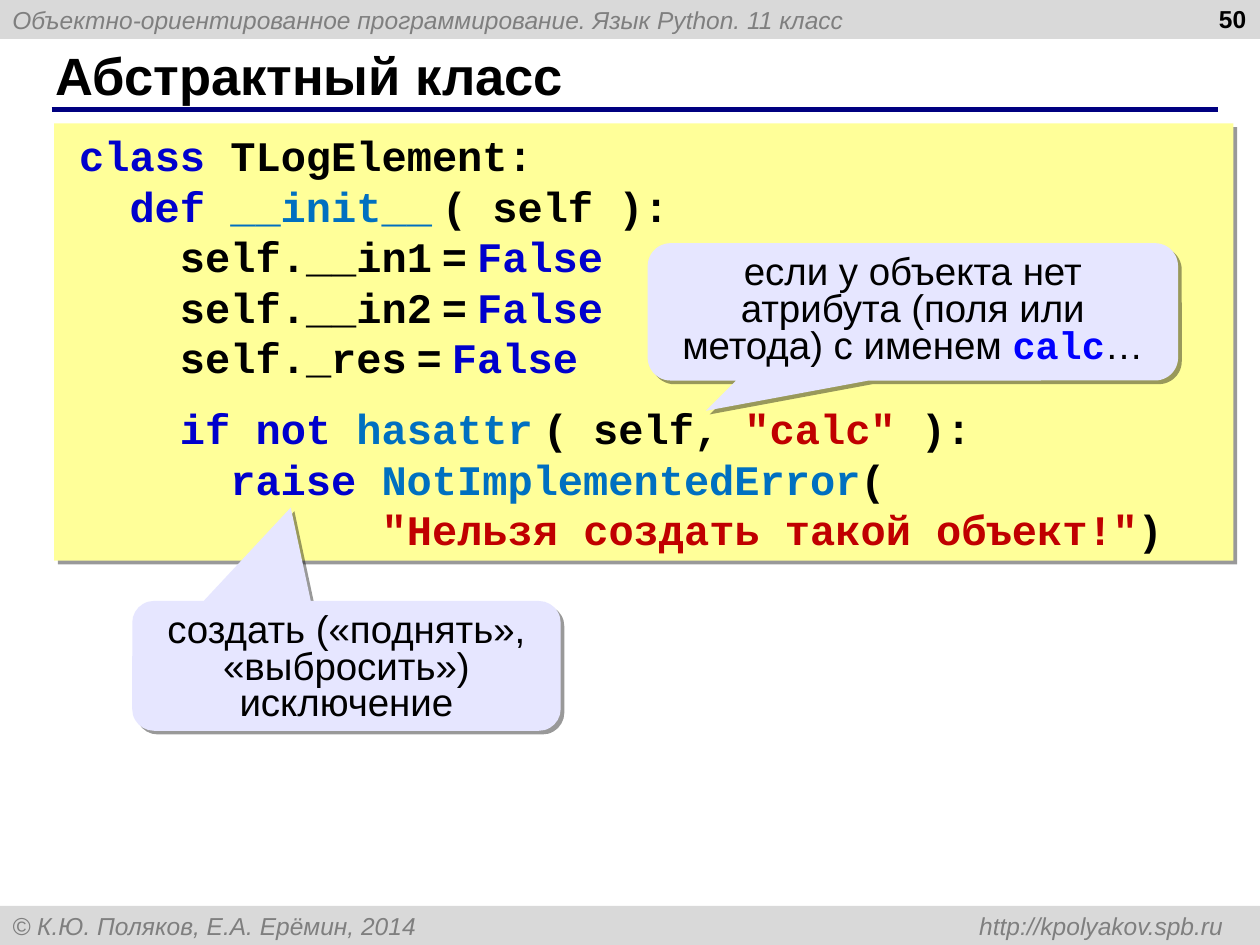
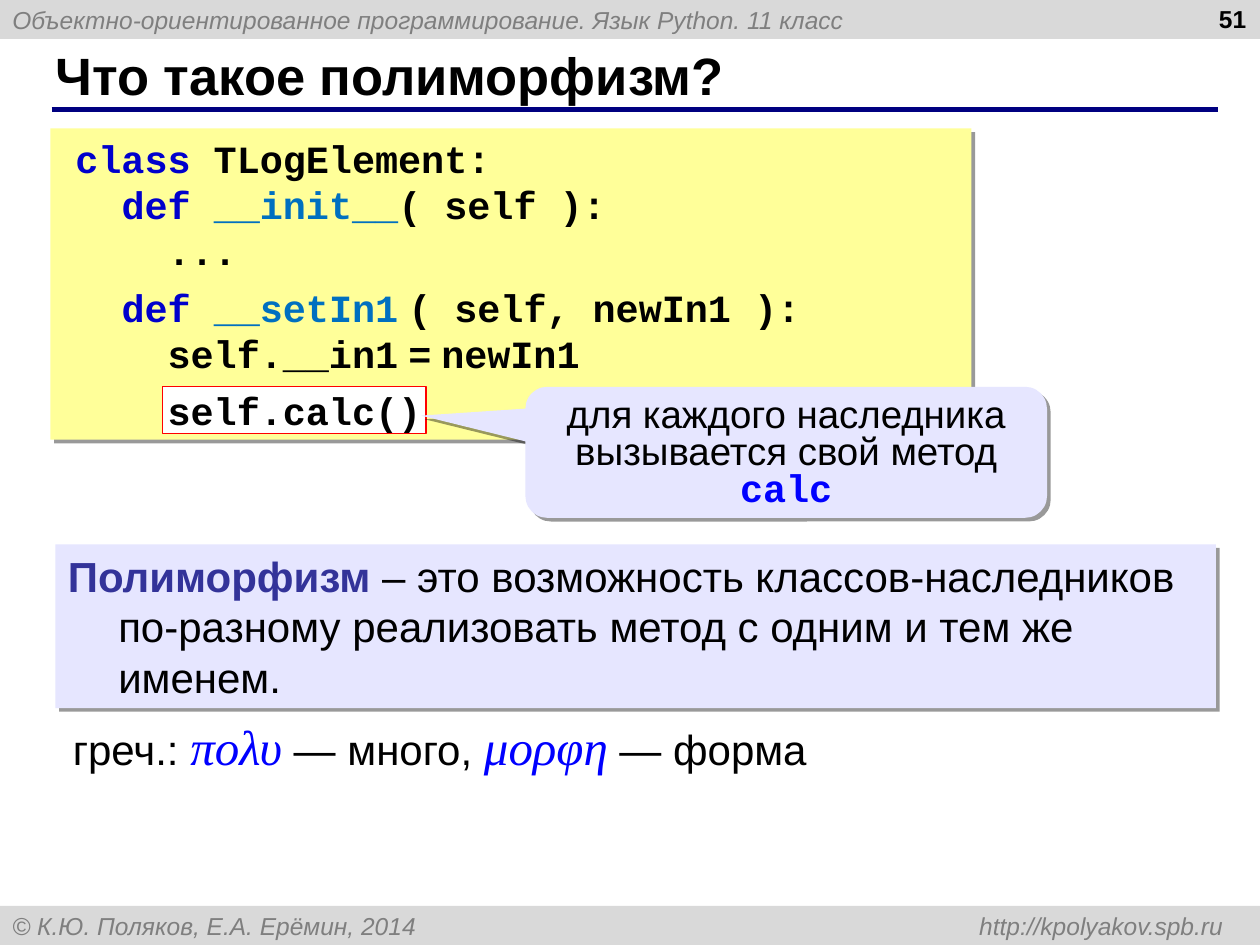
from pptx import Presentation
from pptx.dml import color
from pptx.enum import shapes, text
from pptx.oxml import ns
from pptx.util import Inches, Pt
from lxml import etree

COLS, ROWS = 100, 75
WIDE, HIGH = Inches(10), Inches(7.5)
BAND, NAVY, YELLOW, LILAC = "D9D9D9", "000080", "FFFF99", "E6E6FF"
BLACK, GREY, WHITE, RED = "000000", "7F7F7F", "FFFFFF", "FF0000"
BODY, MONO, SERIF = "Arial", "Courier New", "Times New Roman"
BAND_H = 3.1
INSET = (0.1, 0.05, 0.1, 0.05)

STYLES = {
    "t": dict(name=BODY, color=BLACK),
    "head": dict(name=BODY, color=BLACK, bold=True),
    "note": dict(name=BODY, color=GREY, italic=True),
    "term": dict(name=BODY, color="333399", bold=True),
    "greek": dict(name=SERIF, color="0000FF", italic=True, size=28),
    "attr": dict(name=MONO, color="0000FF", bold=True),
    "p": dict(name=MONO, color=BLACK, bold=True),
    "k": dict(name=MONO, color="0000CC", bold=True),
    "f": dict(name=MONO, color="0070C0", bold=True),
    "s": dict(name=MONO, color="C00000", bold=True),
    "thin": dict(name=MONO, color=BLACK, bold=True, size=9.5),
}

INIT_CODE = [
    "k:class|p: TLogElement:",
    "p:  |k:def |f:__init__|thin: |p:( self ):",
    "p:    self.__in1|thin: |p:=|thin: |k:False",
    "p:    self.__in2|thin: |p:=|thin: |k:False",
    "p:    self._res|thin: |p:=|thin: |k:False",
    'p:    |k:if not |f:hasattr|thin: |p:( self, |s:"calc" |p:):',
    "p:      |k:raise |f:NotImplementedError|p:(",
    's:            "Нельзя создать такой объект!"|p:)',
]
SET_CODE = [
    "k:class|p: TLogElement:",
    "p:  |k:def |f:__init__|p:( self ):",
    "p:    ...",
    "p:  |k:def |f:__setIn1|thin: |p:( self, newIn1 ):",
    "p:    self.__in1|thin: |p:=|thin: |p:newIn1",
    "p:    self.calc()",
]


def rgb(value):
    """Turn a hex string into a colour."""
    return color.RGBColor.from_string(value)


def grid(*cells):
    """Turn column and row pairs into lengths."""
    units = (WIDE / COLS, HIGH / ROWS)
    return [round(cell * units[i % 2]) for i, cell in enumerate(cells)]


def sub(parent, tag, **attrs):
    """Add a drawing element with attributes."""
    node = etree.SubElement(parent, ns.qn("a:" + tag))
    for key, value in attrs.items():
        node.set(key, str(value))
    return node


def shade(shape):
    """Give a shape a hard, half-clear shadow."""
    effects = shape._element.spPr.find(ns.qn("a:effectLst"))
    drop = sub(effects, "outerShdw", dist=Pt(3), dir=45 * 60000,
               algn="ctr", rotWithShape=0)
    sub(sub(drop, "srgbClr", val=BLACK), "alpha", val=40000)


def write(shape, lines, size, inset=INSET, mid=False, align="LEFT",
          space=None, hang=None, gaps=None, tab=None):
    """Fill a shape with lines of style:text parts."""
    frame = shape.text_frame
    sides = zip(("left", "top", "right", "bottom"), inset)
    for side, value in sides:
        setattr(frame, "margin_" + side, Inches(value))
    frame.word_wrap = True
    anchor = text.MSO_ANCHOR
    frame.vertical_anchor = anchor.MIDDLE if mid else anchor.TOP
    for i, line in enumerate(lines):
        para = frame.paragraphs[0] if i == 0 else frame.add_paragraph()
        props = para._p.get_or_add_pPr()
        if hang:
            props.set("marL", str(Inches(hang[0])))
            props.set("indent", str(Inches(hang[1])))
        if tab:
            sub(sub(props, "tabLst"), "tab", pos=Inches(tab), algn="r")
        para.alignment = getattr(text.PP_ALIGN, align)
        if space:
            para.line_spacing = space
        if gaps and i in gaps:
            para.space_before = Pt(gaps[i])
        for part in line.split("|"):
            style, words = part.split(":", 1)
            run = para.add_run()
            run.text = words
            paint(run.font, {"size": size, **STYLES[style]})


def paint(font, style):
    """Set font values from a style."""
    for key, value in style.items():
        if key == "color":
            font.color.rgb = rgb(value)
        else:
            setattr(font, key, Pt(value) if key == "size" else value)


def box(slide, at, fill, kind="RECTANGLE", edge=None, shadow=False):
    """Add a filled preset shape."""
    shape = slide.shapes.add_shape(
        getattr(shapes.MSO_SHAPE, kind), *grid(*at))
    shape.shadow.inherit = False
    shape.fill.solid()
    shape.fill.fore_color.rgb = rgb(fill)
    if edge:
        shape.line.color.rgb = rgb(edge)
        shape.line.width = Pt(0.75)
    else:
        shape.line.fill.background()
    if shadow:
        shade(shape)
    return shape


def label(slide, at, line, size, **layout):
    """Add a plain line of text."""
    write(slide.shapes.add_textbox(*grid(*at)), [line], size, **layout)


def band(slide, top, line, **layout):
    """Add a grey band across the slide."""
    shape = box(slide, (0, top, COLS, BAND_H), BAND)
    write(shape, [line], 14, mid=True, **layout)


def code(slide, at, lines, size, gaps):
    """Add a yellow listing."""
    shape = box(slide, at, YELLOW, shadow=True)
    write(shape, lines, size, mid=True, hang=(0.2, -0.1), gaps=gaps)


def bubble(slide, at, tip, line):
    """Add a callout whose tip is a share of its size."""
    shape = box(slide, at, LILAC, "ROUNDED_RECTANGULAR_CALLOUT", shadow=True)
    for i, value in enumerate((*tip, 0.167)):
        shape.adjustments[i] = value
    write(shape, [line], 22, align="CENTER", space=0.8)


def rule(slide):
    """Underline the title."""
    line = slide.shapes.add_connector(
        shapes.MSO_CONNECTOR.STRAIGHT, *grid(4.1, 8.7, 96.7, 8.7))
    line.line.color.rgb = rgb(NAVY)
    line.line.width = Pt(3)
    sub(line._element.spPr, "effectLst")


def page(deck, title, number):
    """Add a slide with bands, title and number."""
    slide = deck.slides.add_slide(deck.slide_layouts[6])
    band(slide, 0, "note:Объектно-ориентированное программирование. "
                   "Язык Python. 11 класс")
    band(slide, ROWS - BAND_H, "note:© К.Ю. Поляков, Е.А. Ерёмин, 2014 "
                               "\thttp://kpolyakov.spb.ru", tab=9.61)
    rule(slide)
    label(slide, (3.4, 3.3, 91.6, 5.2), "head:" + title, 30, mid=True)
    label(slide, (76.6, -0.2, 23.3, 5.2), f"head:{number}", 14, align="RIGHT")
    return slide


def abstract(deck):
    """Build the abstract class slide."""
    slide = page(deck, "Абстрактный класс", 50)
    code(slide, (4.3, 9.8, 93.6, 34.7), INIT_CODE, 24, {5: 12})
    bubble(slide, (51.4, 19.3, 42.1, 10.9), (-0.39, 0.72),
           "t:если у объекта нет атрибута (поля или метода) с именем "
           "|attr:calc|t:…")
    bubble(slide, (10.5, 47.7, 34, 10.3), (-0.13, -1.22),
           "t:создать («поднять», «выбросить») исключение")


def poly(deck):
    """Build the polymorphism slide."""
    slide = page(deck, "Что такое полиморфизм?", 51)
    label(slide, (4.8, 56.4, 62, 5.7),
          "t:греч.: |greek:πολυ|t: — много, |greek:μορφη|t: — форма", 24)
    term = box(slide, (4.4, 43.2, 92.1, 13), LILAC, shadow=True)
    write(term, ["term:Полиморфизм|t: – это возможность классов-наследников "
                 "по-разному реализовать метод с одним и тем же именем."],
          24, hang=(0.4, -0.4))
    code(slide, (4, 10.2, 73.1, 24.7), SET_CODE, 22, {3: 6, 5: 6})
    call = box(slide, (12.9, 30.7, 20.9, 3.7), WHITE, edge=RED)
    write(call, ["p:self.calc()"], 22, inset=(0.04, 0, 0, 0))
    bubble(slide, (41.7, 30.7, 41.4, 10.4), (-0.7, -0.28),
           "t:для каждого наследника вызывается свой метод |attr:calc")


def main():
    """Build and save the deck."""
    deck = Presentation()
    deck.slide_width, deck.slide_height = WIDE, HIGH
    abstract(deck)
    poly(deck)
    deck.save("out.pptx")


if __name__ == "__main__":
    main()
